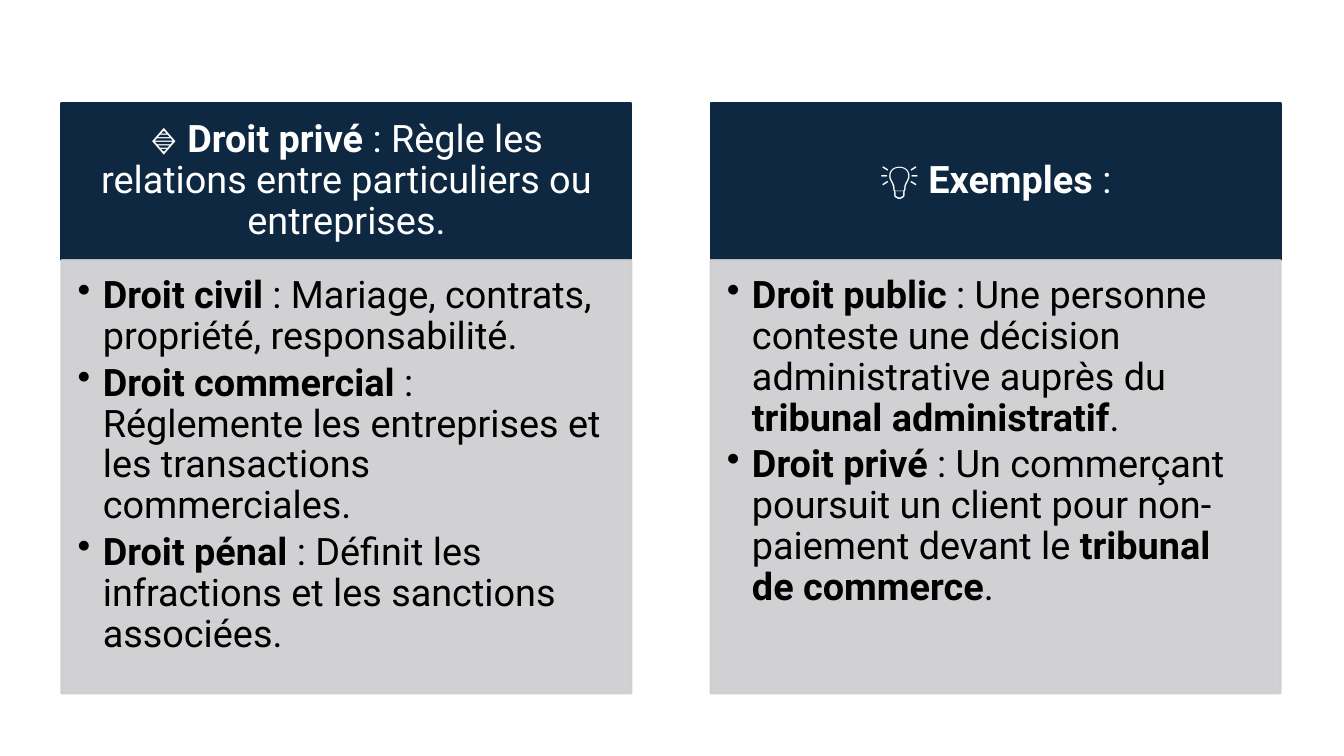
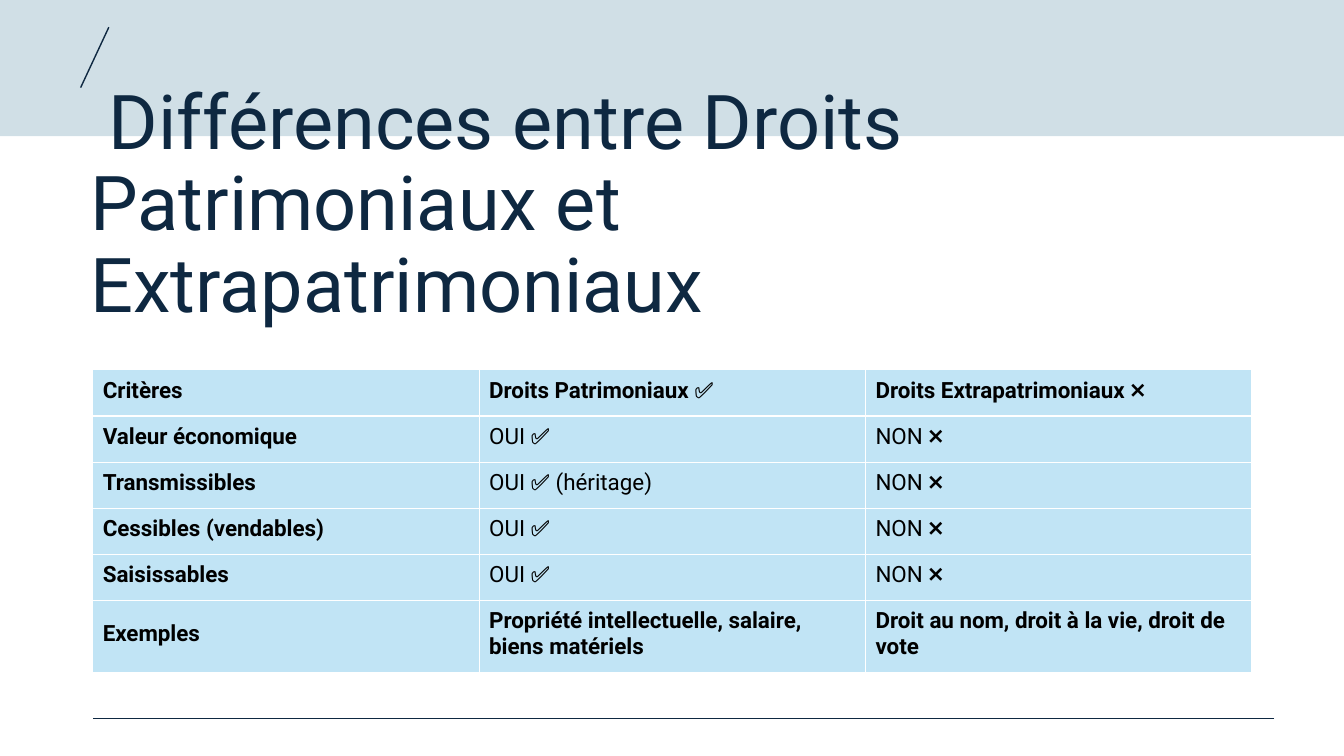
from dataclasses import dataclass

from lxml import etree
from pptx import Presentation
from pptx import util as u
from pptx.dml import color
from pptx.enum import shapes, text
from pptx.oxml import ns


@dataclass(frozen=True)
class Theme:
    font: str = "Roboto"
    navy: str = "0E2841"
    grey: str = "CCCDCF"
    teal: str = "156082"
    sky: str = "C1E4F5"
    white: str = "FFFFFF"
    black: str = "000000"
    title_size: int = 54
    card_size: int = 27
    table_size: int = 16
    spacing: float = 0.9


class Deck:
    COLUMNS = ROWS = 100

    def __init__(self, theme):
        self.theme = theme
        self.deck = Presentation()
        self.deck.slide_width = u.Inches(13.33)
        self.deck.slide_height = u.Inches(7.5)
        self.page = None

    def new_page(self):
        self.page = self.deck.slides.add_slide(self.deck.slide_layouts[6])

    def x(self, columns):
        return round(self.deck.slide_width * columns / self.COLUMNS)

    def y(self, rows):
        return round(self.deck.slide_height * rows / self.ROWS)

    def place(self, left, top, width, height):
        return self.x(left), self.y(top), self.x(width), self.y(height)

    def paint(self, fill, shade, opacity=100):
        fill.solid()
        fill.fore_color.rgb = color.RGBColor.from_string(shade)
        if opacity < 100:
            choice = fill.fore_color._xFill[0]
            etree.SubElement(choice, ns.qn("a:alpha"), val=str(opacity * 1000))

    def rectangle(self, area, shade, opacity=100, outline=True):
        box = self.page.shapes.add_shape(
            shapes.MSO_SHAPE.RECTANGLE, *self.place(*area))
        box.shadow.inherit = False
        self.paint(box.fill, shade, opacity)
        if outline:
            box.line.width = u.Pt(1.5)
            self.paint(box.line.fill, shade, opacity)
        else:
            box.line.fill.background()
        return box

    def line(self, start, end):
        line = self.page.shapes.add_connector(
            shapes.MSO_CONNECTOR.STRAIGHT,
            self.x(start[0]), self.y(start[1]), self.x(end[0]), self.y(end[1]))
        line.line.width = u.Pt(1)
        self.paint(line.line.fill, self.theme.navy)
        etree.SubElement(line._element.spPr, ns.qn("a:effectLst"))

    def frame(self, box, anchor, insets):
        frame = box.text_frame
        frame.word_wrap = True
        frame.vertical_anchor = anchor
        (frame.margin_left, frame.margin_top,
         frame.margin_right, frame.margin_bottom) = map(u.Inches, insets)
        return frame

    def indent(self, para, left, first):
        props = para._p.get_or_add_pPr()
        props.set("marL", str(u.Inches(left)))
        props.set("indent", str(u.Inches(first)))
        return props

    def add_spans(self, para, content, size, shade, align=text.PP_ALIGN.LEFT):
        para.alignment = align
        for index, part in enumerate(content.split("**")):
            if part:
                span = para.add_run()
                span.text = part
                span.font.name = self.theme.font
                span.font.size = u.Pt(size)
                span.font.bold = index % 2 == 1
                span.font.color.rgb = color.RGBColor.from_string(shade)

    def title(self, area, content):
        box = self.page.shapes.add_textbox(*self.place(*area))
        frame = self.frame(box, text.MSO_ANCHOR.BOTTOM, (0.1, 0.05, 0.1, 0.05))
        para = frame.paragraphs[0]
        self.indent(para, 0, 0.18)
        para.line_spacing = self.theme.spacing
        self.add_spans(para, content, self.theme.title_size, self.theme.navy)

    def card(self, left, width, heading, points):
        theme = self.theme
        top, head, body = 13.6, 20.8, 57.33
        box = self.rectangle((left, top, width, head), theme.navy)
        frame = self.frame(box, text.MSO_ANCHOR.MIDDLE, (0.21, 0.12, 0.21, 0.12))
        para = frame.paragraphs[0]
        para.line_spacing = theme.spacing
        self.add_spans(para, heading, theme.card_size, theme.white,
                       text.PP_ALIGN.CENTER)

        box = self.rectangle((left, top + head, width, body), theme.grey, 90)
        frame = self.frame(box, text.MSO_ANCHOR.TOP, (0.16, 0.16, 0.21, 0.24))
        for index, point in enumerate(points):
            para = frame.add_paragraph() if index else frame.paragraphs[0]
            props = self.indent(para, 0.25, -0.25)
            etree.SubElement(props, ns.qn("a:buChar"), char="•")
            para.line_spacing = theme.spacing
            para.space_after = u.Pt(4)
            self.add_spans(para, point, theme.card_size, theme.black)

    def table(self, left, top, width, heights, rows):
        area = self.place(left, top, width, sum(heights))
        table = self.page.shapes.add_table(len(rows), len(rows[0]), *area).table
        table.first_row = table.horz_banding = False
        for column in table.columns:
            column.width = self.x(width / len(rows[0]))
        for row, height, contents in zip(table.rows, heights, rows):
            row.height = self.y(height)
            for cell, content in zip(row.cells, contents):
                self.paint(cell.fill, self.theme.sky)
                cell.vertical_anchor = text.MSO_ANCHOR.MIDDLE
                cell.margin_left = cell.margin_right = u.Inches(0.1)
                cell.margin_top = u.Inches(0.05)
                cell.margin_bottom = u.Inches(0.1)
                self.add_spans(cell.text_frame.paragraphs[0], content,
                               self.theme.table_size, self.theme.black)


def private_law(deck):
    deck.new_page()
    cards = [
        ("🔹 **Droit privé** : Règle les relations entre particuliers ou entreprises.", [
            "**Droit civil** : Mariage, contrats, propriété, responsabilité.",
            "**Droit commercial** : Réglemente les entreprises et les transactions commerciales.",
            "**Droit pénal** : Définit les infractions et les sanctions associées.",
        ]),
        ("💡 **Exemples** :", [
            "**Droit public** : Une personne conteste une décision administrative "
            "auprès du **tribunal administratif**.",
            "**Droit privé** : Un commerçant poursuit un client pour non-paiement "
            "devant le **tribunal de commerce**.",
        ]),
    ]
    for index, (heading, points) in enumerate(cards):
        deck.card(4.58 + index * 48.3, 42.4, heading, points)


def rights_compared(deck):
    deck.new_page()
    deck.rectangle((0, 0, 100, 18), deck.theme.teal, 20, outline=False)
    deck.title((6, 18.27, 84.3, 25.87),
               "Différences entre Droits Patrimoniaux et Extrapatrimoniaux")
    deck.line((8.1, 3.6), (6, 11.6))
    deck.line((94.8, 95.07), (6.9, 95.07))
    criteria = [
        ("Valeur économique", "OUI ✅"),
        ("Transmissibles", "OUI ✅ (héritage)"),
        ("Cessibles (vendables)", "OUI ✅"),
        ("Saisissables", "OUI ✅"),
    ]
    rows = [
        ("**Critères**", "**Droits Patrimoniaux** ✅", "**Droits Extrapatrimoniaux** ❌"),
        *((f"**{name}**", answer, "NON ❌") for name, answer in criteria),
        ("**Exemples**", "**Propriété intellectuelle, salaire, biens matériels**",
         "**Droit au nom, droit à la vie, droit de vote**"),
    ]
    deck.table(6.9, 48.93, 86.25, [6.1] * 5 + [9.6], rows)


def main():
    slides = Deck(Theme())
    private_law(slides)
    rights_compared(slides)
    slides.deck.save("out.pptx")


if __name__ == "__main__":
    main()
